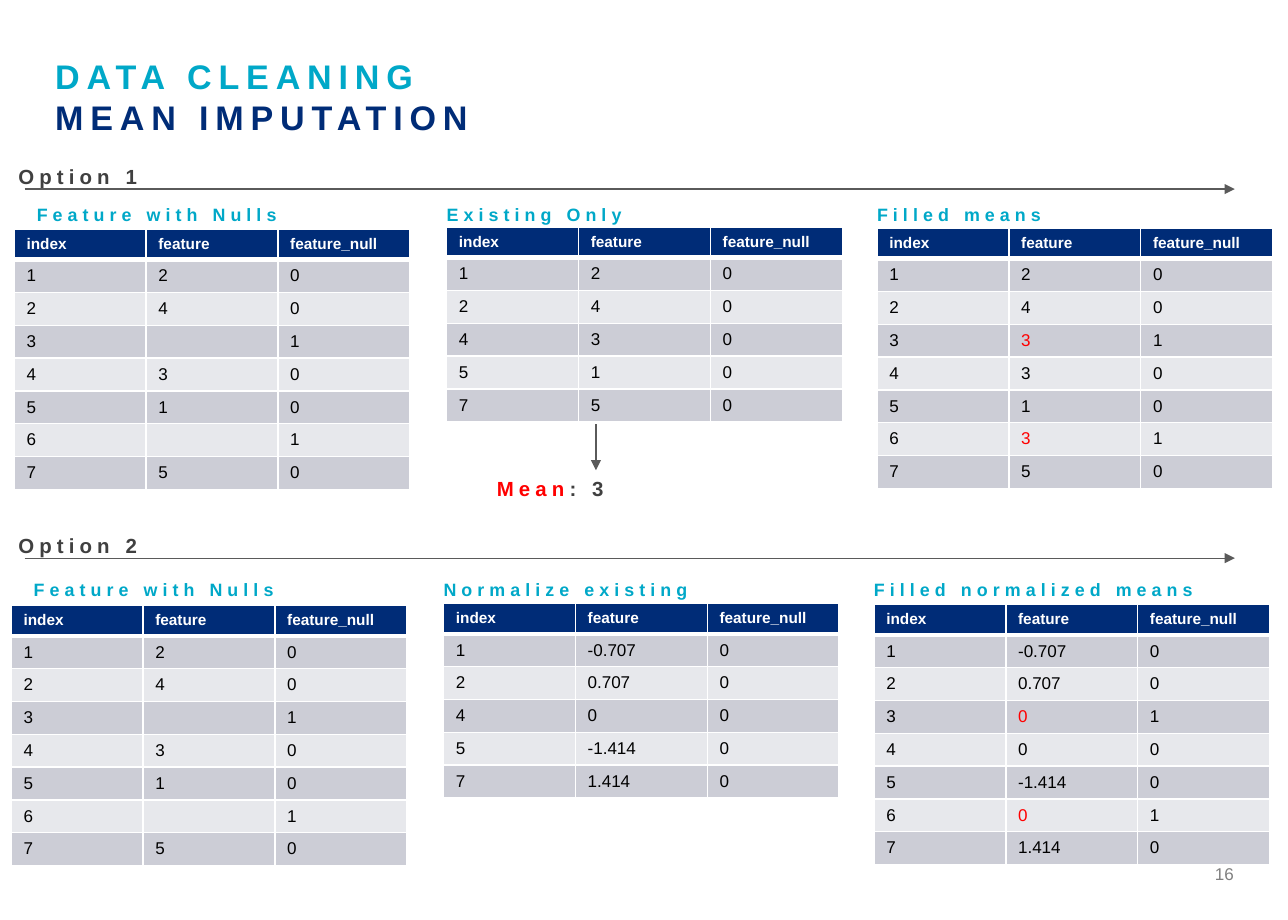
import dataclasses

import pptx
import pptx.dml.color
import pptx.enum.shapes
import pptx.enum.text
import pptx.oxml
import pptx.oxml.ns
import pptx.util
from lxml import etree

PX = 7620  # EMU per px, 120 px to the inch


@dataclasses.dataclass(frozen=True)
class Theme:
    font: str = "Arial"
    teal: str = "00A8C8"
    navy: str = "002C77"
    dark: str = "404040"
    line: str = "5A5A5A"
    grey: str = "808080"
    red: str = "FF0000"
    black: str = "000000"
    white: str = "FFFFFF"
    bands: tuple = ("CCCDD6", "E7E8EC")
    title: float = 20
    label: float = 12
    caption: float = 10.5
    body: float = 10
    header: float = 9


def rgb(color):
    return pptx.dml.color.RGBColor.from_string(color)


class Builder:
    def __init__(self, prs, theme):
        self.theme = theme
        self.s = prs.slides.add_slide(prs.slide_layouts[6])

    def run(self, p, text, size, color, bold=False, spacing=0):
        """Add one run; spacing is the letter spacing in points."""
        r = p.add_run()
        r.text = text
        r.font.name = self.theme.font
        r.font.size = pptx.util.Pt(size)
        r.font.bold = bold
        r.font.color.rgb = rgb(color)
        if spacing:
            r._r.get_or_add_rPr().set("spc", str(spacing * 100))

    def text(self, x, y, w, h):
        """Add an empty text box without margins and return its paragraph."""
        sp = self.s.shapes.add_textbox(x * PX, y * PX, w * PX, h * PX)
        tf = sp.text_frame
        tf.word_wrap = True
        tf.margin_left = tf.margin_top = tf.margin_right = tf.margin_bottom = 0
        return tf.paragraphs[0]

    def label(self, x, y, text, color, size, w=375):
        self.run(self.text(x, y, w, 23), text, size, color, True, 3)

    def arrow(self, x1, y1, x2, y2):
        c = self.s.shapes.add_connector(
            pptx.enum.shapes.MSO_CONNECTOR.STRAIGHT,
            x1 * PX, y1 * PX, x2 * PX, y2 * PX)
        c.line.color.rgb = rgb(self.theme.line)
        c.line.width = pptx.util.Pt(0.75)
        qn = pptx.oxml.ns.qn
        etree.SubElement(c.line._get_or_add_ln(), qn("a:tailEnd"), type="triangle")
        etree.SubElement(c._element.spPr, qn("a:effectLst"))

    def borders(self, cell, row):
        """Draw white borders, heavier between the header and the body."""
        heavy = {(0, "B"), (1, "T")}
        for side in "LRTB":
            width = 38100 if (row, side) in heavy else 12700
            cell._tc.get_or_add_tcPr().append(pptx.oxml.parse_xml(
                f'<a:ln{side} {pptx.oxml.ns.nsdecls("a")} w="{width}"><a:solidFill>'
                f'<a:srgbClr val="{self.theme.white}"/></a:solidFill></a:ln{side}>'))

    def table(self, x, y, rows, header_h, row_h, red_cells):
        t = self.theme
        heights = [header_h] + [row_h] * (len(rows) - 1)
        table = self.s.shapes.add_table(
            len(rows), 3, x * PX, y * PX, 3 * 129 * PX, sum(heights) * PX).table
        for col in table.columns:
            col.width = 129 * PX
        for i, values in enumerate(rows):
            table.rows[i].height = heights[i] * PX
            for j, value in enumerate(values):
                cell = table.cell(i, j)
                self.borders(cell, i)
                cell.fill.solid()
                cell.fill.fore_color.rgb = rgb(t.bands[(i - 1) % 2] if i else t.navy)
                cell.vertical_anchor = pptx.enum.text.MSO_ANCHOR.MIDDLE
                p = cell.text_frame.paragraphs[0]
                if i == 0:
                    self.run(p, value, t.header, t.white, True)
                elif value:
                    color = t.red if (i, j) in red_cells else t.black
                    self.run(p, value, t.body, color)
                else:
                    etree.SubElement(p._p, pptx.oxml.ns.qn("a:endParaRPr"),
                                     sz=str(t.body * 100))


HEADER = ("index", "feature", "feature_null")
MISSING = (3, 6)
RAW = {1: "2", 2: "4", 4: "3", 5: "1", 7: "5"}
NORMALIZED = {1: "-0.707", 2: "0.707", 4: "0", 5: "-1.414", 7: "1.414"}


def feature_rows(values, fill=""):
    """Rows for all seven indexes, with fill where the feature is missing."""
    return [HEADER] + [(str(n), values.get(n, fill), str(int(n in MISSING)))
                       for n in range(1, 8)]


def existing_rows(values):
    return [HEADER] + [(str(n), value, "0") for n, value in values.items()]


@dataclasses.dataclass(frozen=True)
class Option:
    name: str
    label_y: int
    caption_y: int
    table_y: int
    shift: int
    header_h: int
    row_h: int
    captions: tuple
    values: dict
    mean: str


OPTIONS = (
    Option("Option 1", 160, 199, 222, 0, 28, 30,
           ("Feature with Nulls", "Existing Only", "Filled means"), RAW, "3"),
    Option("Option 2", 521, 566, 590, -3, 30, 32,
           ("Feature with Nulls", "Normalize existing", "Filled normalized means"),
           NORMALIZED, "0"),
)


def draw_option(b, o):
    t = b.theme
    b.label(18, o.label_y, o.name, t.dark, t.label, 140)
    b.arrow(24, o.label_y + 25, 1208, o.label_y + 25)
    tables = (feature_rows(RAW), existing_rows(o.values),
              feature_rows(o.values, o.mean))
    places = ((14, 36, 2), (437, 437, 0), (858, 858, 1))
    for k, (table_x, caption_x, drop) in enumerate(places):
        b.label(caption_x + o.shift, o.caption_y, o.captions[k], t.teal, t.caption)
        red_cells = {(n, 1) for n in MISSING} if k == 2 else ()
        b.table(table_x + o.shift, o.table_y + drop, tables[k],
                o.header_h, o.row_h, red_cells)


def main():
    prs = pptx.Presentation()
    prs.slide_width, prs.slide_height = 1260 * PX, 900 * PX
    t = Theme()
    b = Builder(prs, t)

    p = b.text(54, 54, 1153, 91)
    b.run(p, "DATA CLEANING", t.title, t.teal, True, 4)
    p.add_line_break()
    b.run(p, "MEAN IMPUTATION", t.title, t.navy, True, 4)

    for option in OPTIONS:
        draw_option(b, option)

    b.arrow(583, 415, 583, 460)
    p = b.text(486, 466, 140, 24)
    b.run(p, "Mean", t.label, t.red, True, 3)
    b.run(p, ": 3", t.label, t.dark, True, 3)

    p = b.text(1148, 845, 59, 20)
    p.alignment = pptx.enum.text.PP_ALIGN.RIGHT
    b.run(p, "16", t.body, t.grey)
    prs.save("out.pptx")


if __name__ == "__main__":
    main()
